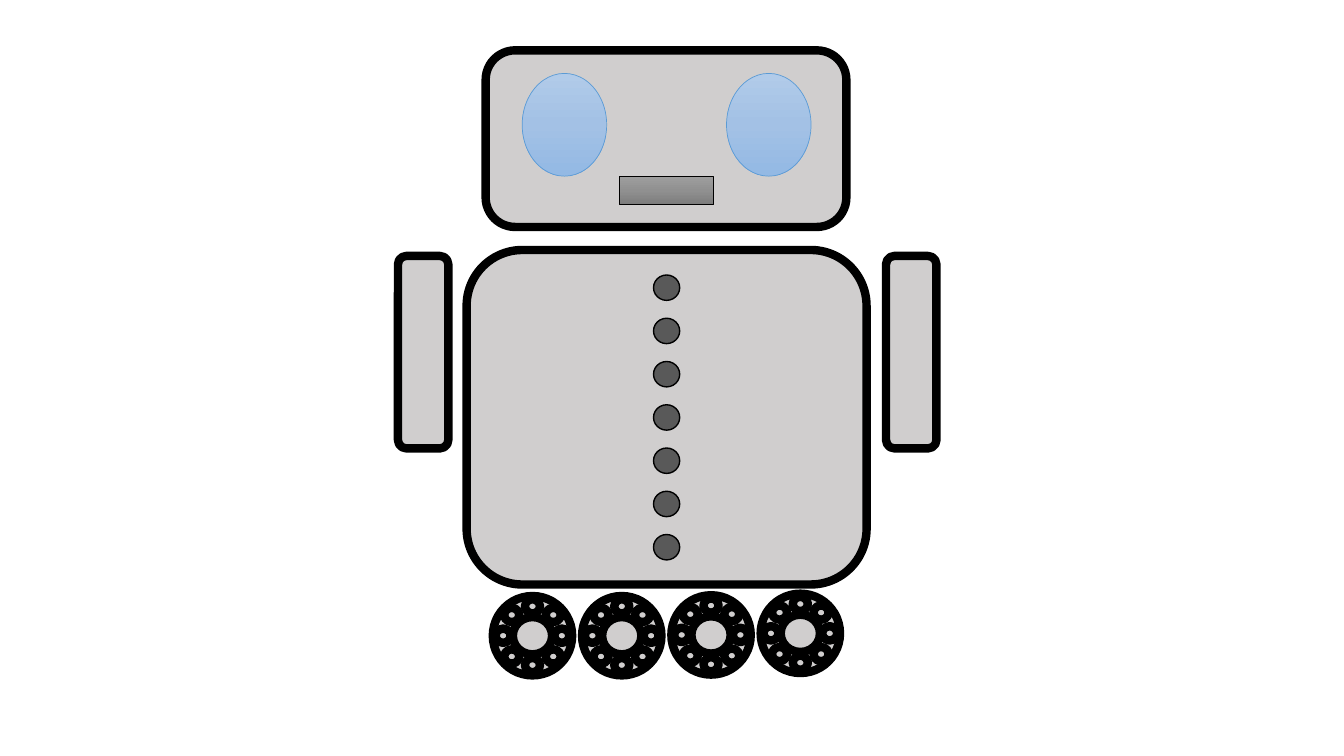
from copy import deepcopy
from math import cos, pi, sin

from pptx import Presentation
from pptx.dml.color import RGBColor
from pptx.enum.shapes import MSO_SHAPE as Preset
from pptx.oxml.ns import qn
from pptx.util import Cm, Pt

STEEL, BLACK, BUTTON = "D0CECE", "000000", "595959"
EYE_LINE = "5B9BD5"
EYE_SHADES = ["B1CBE9", "A3C1E5", "93B9E4"]
MOUTH_SHADES = ["9D9D9D", "909090", "7C7C7C"]
HEAVY = 6


def paint(color_format, color):
    color_format.rgb = RGBColor.from_string(color)


def add_part(shapes, preset, left, top, width, height,
             fill=STEEL, line=BLACK, weight=HEAVY):
    """Add an outlined shape, measured in cm; a list of three fills shades it downwards."""
    part = shapes.add_shape(preset, Cm(left), Cm(top), Cm(width), Cm(height))
    part.shadow.inherit = False
    if isinstance(fill, list):
        shade(part, fill)
    else:
        part.fill.solid()
        paint(part.fill.fore_color, fill)
    paint(part.line.color, line)
    part.line.width = Pt(weight)


def shade(part, colors):
    """Fill with three evenly spaced gradient stops from top to bottom."""
    part.fill.gradient()
    part.fill.gradient_angle = 270
    stop_list = part._element.spPr.find(qn("a:gradFill")).find(qn("a:gsLst"))
    stop_list.insert(1, deepcopy(stop_list[0]))
    for stop, color, position in zip(part.fill.gradient_stops, colors, (0, 0.5, 1)):
        paint(stop.color, color)
        stop.position = position


def add_disc(shapes, center_x, center_y, width, height, **style):
    add_part(shapes, Preset.OVAL, center_x - width / 2, center_y - height / 2,
             width, height, **style)


def add_wheel(page, center_x, center_y):
    """Group a tyre, its hub and a ring of eight rivets."""
    wheel = page.shapes.add_group_shape().shapes
    add_disc(wheel, center_x, center_y, 2, 2)
    add_disc(wheel, center_x, center_y, 0.99, 0.94)
    for rivet in range(8):
        angle = rivet * pi / 4
        add_disc(wheel, center_x + 0.74 * cos(angle),
                 center_y + 0.74 * sin(angle), 0.38, 0.36)


def add_face(page):
    add_part(page.shapes, Preset.ROUNDED_RECTANGLE, 12.24, 1.27, 9.09, 4.45)
    for left in (13.16, 18.31):
        add_part(page.shapes, Preset.OVAL, left, 1.85, 2.13, 2.59,
                 fill=EYE_SHADES, line=EYE_LINE, weight=0.5)
    add_part(page.shapes, Preset.RECTANGLE, 15.6, 4.45, 2.39, 0.71,
             fill=MOUTH_SHADES, weight=0.5)


def add_body(page):
    add_part(page.shapes, Preset.ROUNDED_RECTANGLE, 11.76, 6.3, 10.08, 8.43)
    for button in range(7):
        add_part(page.shapes, Preset.OVAL, 16.47, 6.93 + 1.09 * button, 0.66, 0.64,
                 fill=BUTTON, weight=1)


def main():
    deck = Presentation()
    deck.slide_width, deck.slide_height = Cm(33.87), Cm(19.05)
    page = deck.slides.add_slide(deck.slide_layouts[6])

    add_face(page)
    add_body(page)
    for wheel, center_y in enumerate((16.02, 16.02, 16, 15.96)):
        add_wheel(page, 13.42 + 2.25 * wheel, center_y)
    for left in (10.03, 22.33):
        add_part(page.shapes, Preset.ROUNDED_RECTANGLE, left, 6.45, 1.27, 4.85)

    deck.save("out.pptx")


if __name__ == "__main__":
    main()
